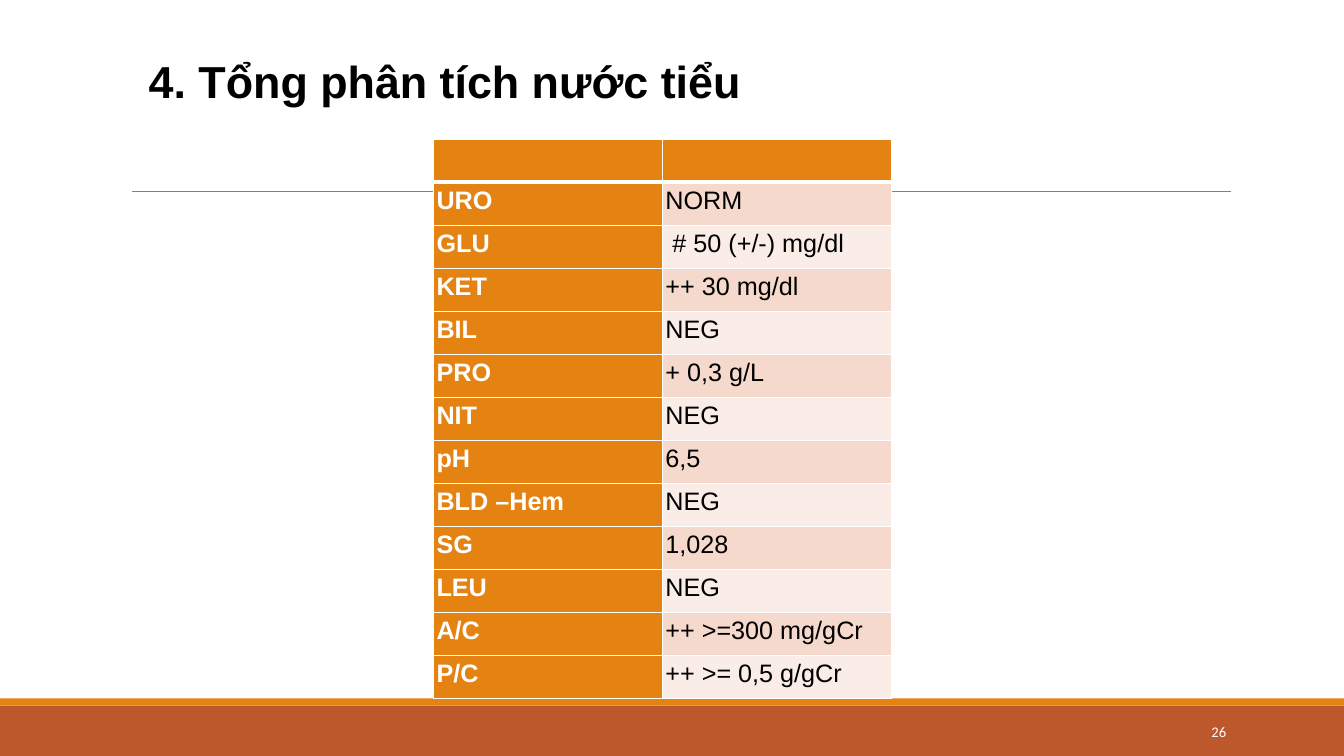
"""Build a slide with a table of urinalysis results."""
import pptx
import pptx.util
import pptx.dml.color
import pptx.enum.shapes
import pptx.enum.text
import pptx.oxml
import pptx.oxml.ns

Inches = pptx.util.Inches
Pt = pptx.util.Pt
RGBColor = pptx.dml.color.RGBColor
Align = pptx.enum.text.PP_ALIGN

TITLE = "4. Tổng phân tích nước tiểu"
NUMBER = "26"
TESTS = [
    ("", ""),
    ("URO", "NORM"),
    ("GLU", " # 50 (+/-) mg/dl"),
    ("KET", "++ 30 mg/dl"),
    ("BIL", "NEG"),
    ("PRO", "+ 0,3 g/L"),
    ("NIT", "NEG"),
    ("pH", "6,5"),
    ("BLD –Hem", "NEG"),
    ("SG", "1,028"),
    ("LEU", "NEG "),
    ("A/C", "++ >=300 mg/gCr"),
    ("P/C", "++ >= 0,5 g/gCr"),
]

WHITE = RGBColor(0xFF, 0xFF, 0xFF)
BLACK = RGBColor(0, 0, 0)
GRAY = RGBColor(0x80, 0x80, 0x80)
RUST = RGBColor(0xBD, 0x58, 0x2C)
ORANGE = RGBColor(0xE4, 0x83, 0x12)
PEACH = RGBColor(0xF5, 0xD9, 0xCC)
PALE = RGBColor(0xFA, 0xED, 0xE7)

BANDS = [(7, 0.5, RUST), (6.93, 0.07, ORANGE)]
LABELS = [
    (TITLE, (0.76, 0.48, 7.31, 0.64), Align.CENTER, "Arial", 32, True, BLACK),
    (NUMBER, (10.83, 7.06, 1.43, 0.4), Align.RIGHT, "Calibri", 10.5, False, WHITE),
]
GRID = (4.3, 1.38, 4.54, 5.55)


def write(para, text, face, size, bold, color):
    run = para.add_run()
    run.text = text
    font = run.font
    font.name, font.size, font.bold = face, Pt(size), bold
    font.color.rgb = color


def edge(cell, side, width):
    line = pptx.oxml.parse_xml(
        f'<a:ln{side} {pptx.oxml.ns.nsdecls("a")} w="{Pt(width)}">'
        f'<a:solidFill><a:srgbClr val="{WHITE}"/></a:solidFill></a:ln{side}>'
    )
    cell._tc.get_or_add_tcPr().append(line)


def add_bands(slide):
    for top, height, color in BANDS:
        band = slide.shapes.add_shape(
            pptx.enum.shapes.MSO_SHAPE.RECTANGLE,
            0, Inches(top), Inches(13.33), Inches(height))
        band.shadow.inherit = False
        band.fill.solid()
        band.fill.fore_color.rgb = color
        band.line.fill.background()


def add_rule(slide):
    rule = slide.shapes.add_connector(
        pptx.enum.shapes.MSO_CONNECTOR.STRAIGHT,
        Inches(1.31), Inches(1.9), Inches(12.21), Inches(1.9))
    rule.line.color.rgb = GRAY
    rule.line.width = Pt(0.5)
    rule._element.spPr.append(
        pptx.oxml.parse_xml(f'<a:effectLst {pptx.oxml.ns.nsdecls("a")}/>'))


def add_tests(slide):
    left, top, width, height = map(Inches, GRID)
    count = len(TESTS)
    table = slide.shapes.add_table(count, 2, left, top, width, height).table
    for r, texts in enumerate(TESTS):
        table.rows[r].height = height // count
        for c, text in enumerate(texts):
            cell = table.cell(r, c)
            for side in "LRTB":
                thick = (r, side) in ((0, "B"), (1, "T"))
                edge(cell, side, 3 if thick else 1)
            cell.fill.solid()
            is_head = r == 0 or c == 0
            cell.fill.fore_color.rgb = ORANGE if is_head else (PALE, PEACH)[r % 2]
            if text:
                cell.margin_left = cell.margin_right = Inches(0.03)
                cell.margin_top = cell.margin_bottom = 0
                para = cell.text_frame.paragraphs[0]
                para.line_spacing = 1.15
                write(para, text, "Arial", 18, is_head, WHITE if is_head else BLACK)


def add_labels(slide):
    for text, place, align, face, size, bold, color in LABELS:
        frame = slide.shapes.add_textbox(*map(Inches, place)).text_frame
        frame.word_wrap = True
        frame.vertical_anchor = pptx.enum.text.MSO_ANCHOR.MIDDLE
        para = frame.paragraphs[0]
        para.alignment = align
        write(para, text, face, size, bold, color)


def main():
    deck = pptx.Presentation()
    deck.slide_width, deck.slide_height = Inches(13.33), Inches(7.5)
    slide = deck.slides.add_slide(deck.slide_layouts[6])
    add_bands(slide)
    add_rule(slide)
    add_tests(slide)
    add_labels(slide)
    deck.save("out.pptx")


if __name__ == "__main__":
    main()
